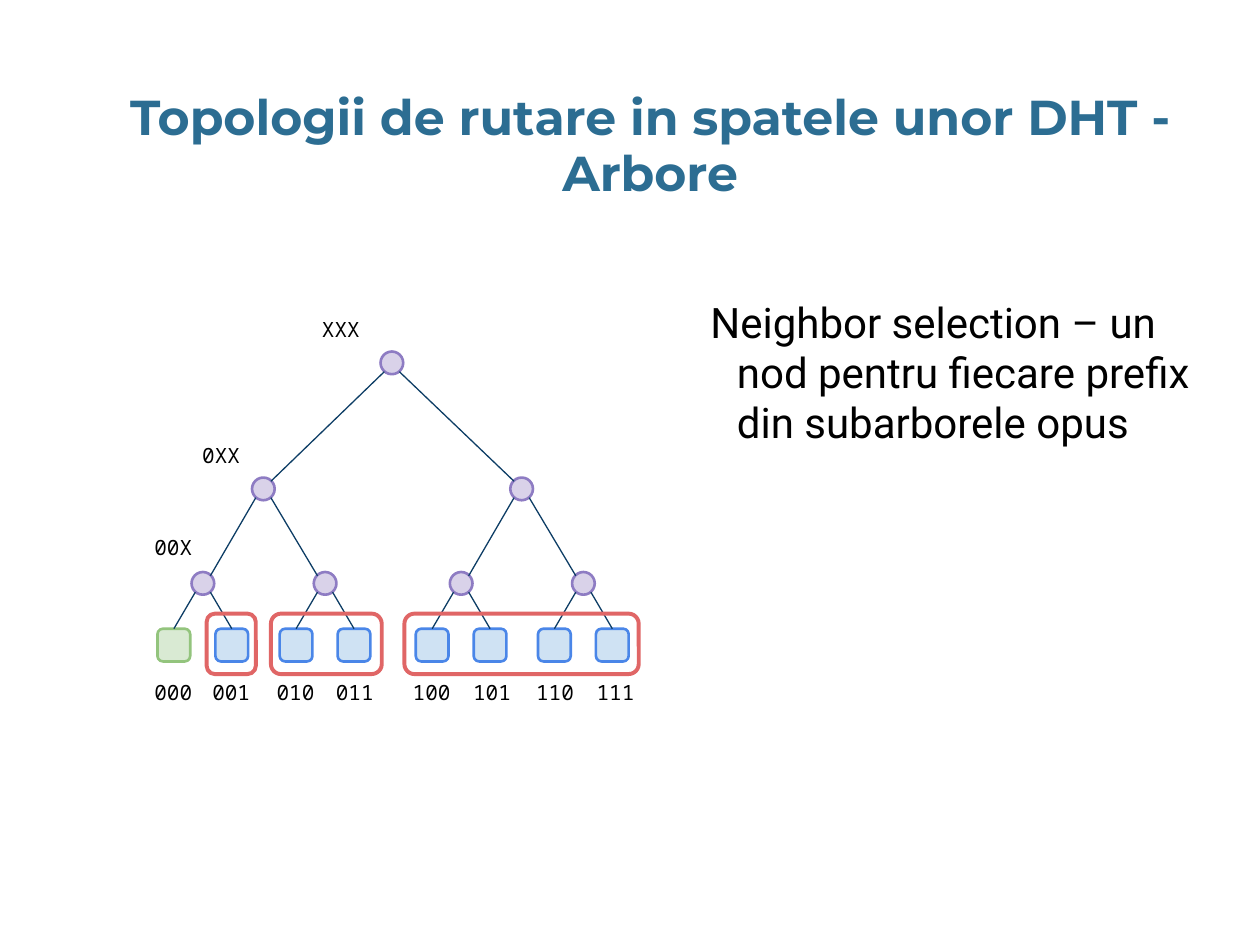
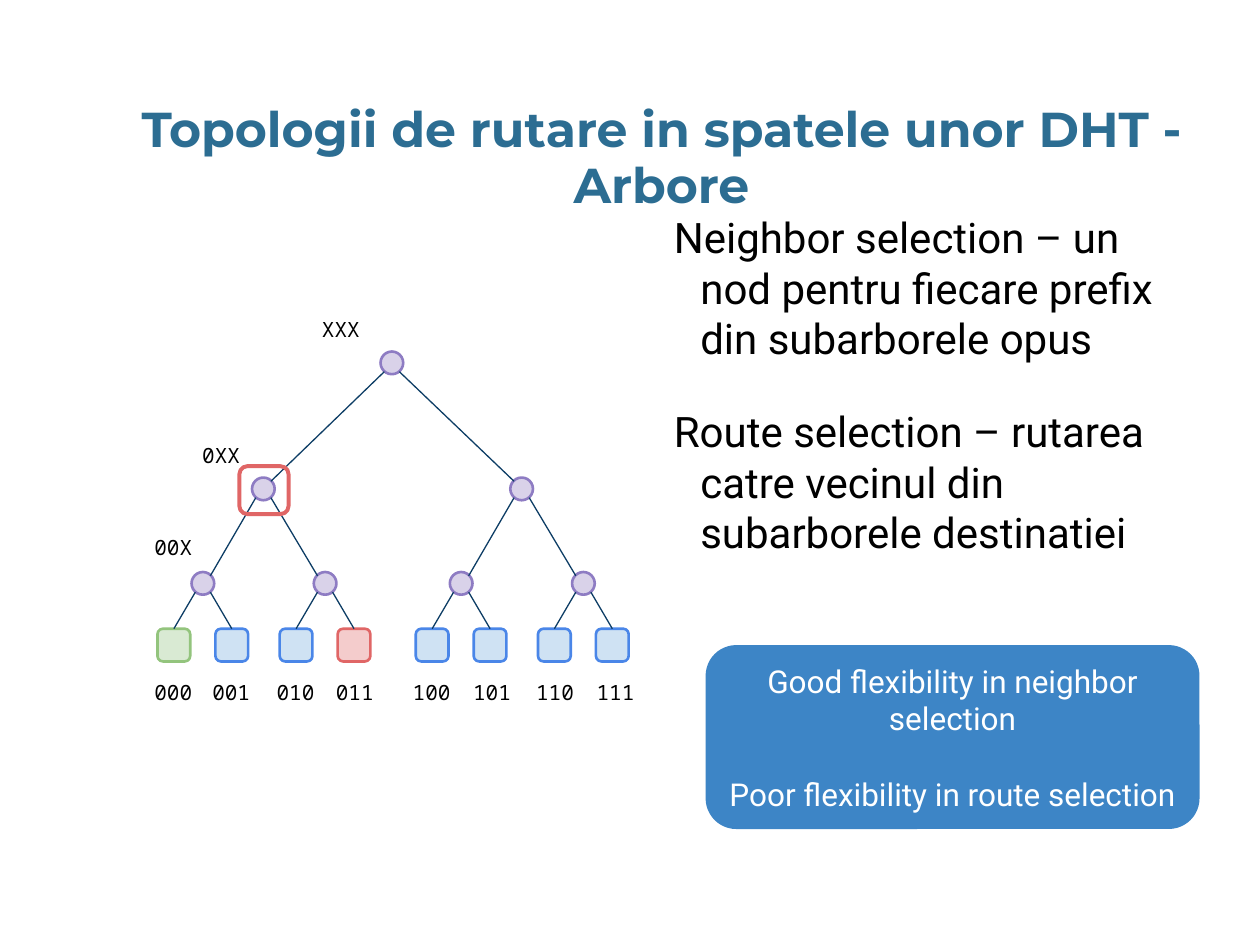
from lxml import etree
from pptx import Presentation, util as u
from pptx.dml.color import RGBColor
from pptx.enum import shapes, text
from pptx.oxml.ns import qn

PX = 9144  # 100 px to the inch
HUES = {
    "title": "2C6D92", "ink": "000000", "white": "FFFFFF", "edge": "0D3D65",
    "node": "D9D2E9", "rim": "8E7CC3", "mark": "E06666", "note": "3D85C6",
}
LEAF = {  # fill and outline of each kind of leaf
    "own": ("D9EAD3", "93C47D"),
    "peer": ("CFE2F3", "4A86E8"),
    "goal": ("F4CCCC", "E06666"),
}
FONTS = {
    "title": {"name": "Montserrat", "size": u.Pt(28), "bold": True},
    "body": {"name": "Roboto", "size": u.Pt(24)},
    "code": {"name": "Noto Sans Mono", "size": u.Pt(12)},
    "note": {"name": "Roboto", "size": u.Pt(18)},
}
MID = {"alignment": text.PP_ALIGN.CENTER}
PARAS = {"title": {**MID, "line_spacing": 0.95}, "body": {}, "code": MID, "note": MID}
KIND = shapes.MSO_SHAPE
HANG = 21
CODES = {"000": 110, "001": 156, "010": 207, "011": 254,
         "100": 315, "101": 363, "110": 413, "111": 461}
TAGS = (("00X", 110, 414), ("0XX", 148, 341), ("XXX", 243, 241))


def rgb(hue):
    return RGBColor.from_string(HUES.get(hue, hue))


def assign(item, values):
    for key, value in values.items():
        setattr(item, key, value)


class Deck:
    def __init__(self):
        self.file = Presentation()
        assign(self.file, {"slide_width": 1000 * PX, "slide_height": 750 * PX})
        self.slide = None

    def page(self, left, top):
        self.slide = self.file.slides.add_slide(self.file.slide_layouts[6])
        self.label("Topologii de rutare in spatele unor DHT - Arbore",
                   left, top, 932, 63, "title", "title")

    def put(self, shape, lines, style, hue, gap=0):
        frame = shape.text_frame
        assign(frame, {"word_wrap": True, "auto_size": text.MSO_AUTO_SIZE.NONE})
        assign(frame, {f"margin_{side}": 10 * PX
                       for side in ("left", "top", "right", "bottom")})
        for i, line in enumerate(lines):
            para = frame.add_paragraph() if i else frame.paragraphs[0]
            run = para.add_run()
            run.text = line
            assign(para, PARAS[style])
            assign(run.font, FONTS[style])
            run.font.color.rgb = rgb(hue)
            if i:
                para.space_before = u.Pt(gap)
        return frame

    def label(self, line, x, y, w, h, style, hue="ink"):
        box = self.slide.shapes.add_textbox(x * PX, y * PX, w * PX, h * PX)
        return self.put(box, [line], style, hue)

    def body(self, line, x, y, h):
        frame = self.label(line, x, y, 412, h, "body")
        props = frame.paragraphs[0]._p.get_or_add_pPr()
        props.set("marL", str(HANG * PX))
        props.set("indent", str(-HANG * PX))

    def shape(self, kind, x, y, w, h, fill=None, line=None, width=1.5):
        item = self.slide.shapes.add_shape(kind, x * PX, y * PX, w * PX, h * PX)
        item.shadow.inherit = False
        for part, hue in ((item.fill, fill), (item.line.fill, line)):
            if hue:
                part.solid()
                part.fore_color.rgb = rgb(hue)
            else:
                part.background()
        if line:
            item.line.width = u.Pt(width)
        return item

    def frame(self, x, y, w, h):
        self.shape(KIND.ROUNDED_RECTANGLE, x, y, w, h, line="mark", width=2.25)

    def edge(self, *ends):
        line = self.slide.shapes.add_connector(
            shapes.MSO_CONNECTOR.STRAIGHT, *(n * PX for n in ends))
        line.line.color.rgb = rgb("edge")
        line.line.width = u.Pt(0.75)
        etree.SubElement(line._element.spPr, qn("a:effectLst"))

    def tree(self, roles):
        # Leaves: each bit of the code shifts the leaf to the right
        row = []
        for code, left in CODES.items():
            high, mid, low = map(int, code)
            x = 138 + 205 * high + 97 * mid + 46 * low
            fill, line = LEAF[roles.get(code, "peer")]
            self.shape(KIND.FLOWCHART_ALTERNATE_PROCESS, x - 13, 499, 26, 26, fill, line)
            self.label(code, left, 529, 55, 38, "code")
            row.append(x)
        # Inner nodes: each sits midway above its two children
        base, reach = 499, 0
        for y in (463, 388, 288):
            pairs = list(zip(row[::2], row[1::2]))
            row = [(a + b) // 2 for a, b in pairs]
            for x, (a, b) in zip(row, pairs):
                self.shape(KIND.OVAL, x - 9, y - 9, 18, 18, "node", "rim")
                self.edge(a + reach, base, x - 6, y + 7)
                self.edge(b - reach, base, x + 6, y + 7)
            base, reach = y - 6, 6
        for tag, x, y in TAGS:
            self.label(tag, x, y, 55, 38, "code")


def main():
    deck = Deck()
    near = "Neighbor selection – un nod pentru fiecare prefix din subarborele opus"

    # Slide 1: neighbours framed by opposite subtree
    deck.page(50, 62)
    deck.body(near, 554, 225, 120)
    deck.tree({"000": "own"})
    for x, w in ((164, 39), (215, 88), (321, 186)):
        deck.frame(x, 487, w, 48)

    # Slide 2: route to the goal leaf
    deck.page(59, 72)
    deck.body(near, 525, 158, 120)
    deck.body("Route selection – rutarea catre vecinul din subarborele destinatiei",
              525, 312, 95)
    deck.tree({"000": "own", "011": "goal"})
    deck.frame(190, 370, 39, 38)
    note = deck.shape(KIND.ROUNDED_RECTANGLE, 560, 512, 392, 146, "note")
    deck.put(note, ["Good flexibility in neighbor selection",
                    "Poor flexibility in route selection"], "note", "white", 21.5)

    deck.file.save("out.pptx")


if __name__ == "__main__":
    main()
